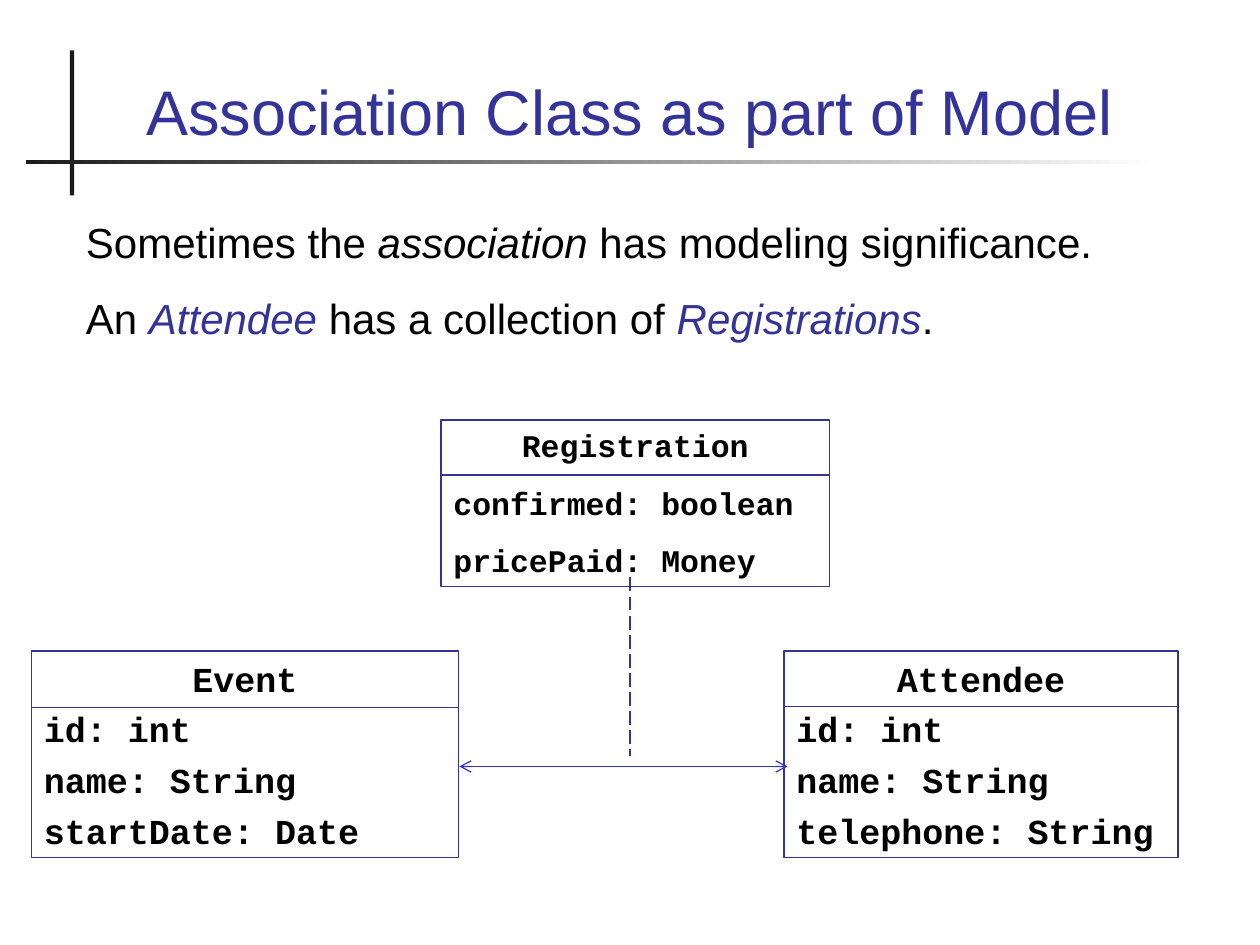
from dataclasses import dataclass
from lxml.etree import SubElement
from pptx import Presentation
from pptx.dml.color import RGBColor
from pptx.enum.dml import MSO_LINE
from pptx.enum.shapes import MSO_CONNECTOR, MSO_SHAPE
from pptx.enum.text import MSO_ANCHOR, PP_ALIGN
from pptx.oxml.ns import qn
from pptx.util import Pt


@dataclass(frozen=True)
class Theme:
    ink: RGBColor = RGBColor(0x00, 0x00, 0x00)
    bar: RGBColor = RGBColor(0x1C, 0x1C, 0x1C)
    paper: RGBColor = RGBColor(0xFF, 0xFF, 0xFF)
    blue: RGBColor = RGBColor(0x33, 0x33, 0x99)
    link: RGBColor = RGBColor(0x33, 0x33, 0xCC)
    sans: str = "Arial"
    mono: str = "Courier New"
    title: int = 36
    body: int = 24
    large: int = 20
    small: int = 18


THEME = Theme()


def apply(target, values):
    for name, value in values.items():
        setattr(target, name, value)


def set_frame(frame, anchor=MSO_ANCHOR.TOP):
    apply(frame, {
        "word_wrap": True, "vertical_anchor": anchor,
        "margin_left": Pt(7.2), "margin_right": Pt(7.2),
        "margin_top": Pt(3.6), "margin_bottom": Pt(3.6),
    })


def add_para(frame, index, runs, form, align=PP_ALIGN.LEFT, gap=0):
    """Write runs of (text, colour, italic) as one paragraph."""
    para = frame.add_paragraph() if index else frame.paragraphs[0]
    para.alignment = align
    if index:
        para.space_before = Pt(gap)
    for text, color, slant in runs:
        run = para.add_run()
        run.text = text
        apply(run.font, {**form, "italic": slant})
        run.font.color.rgb = color


def add_rect(slide, x, y, w, h):
    rect = slide.shapes.add_shape(MSO_SHAPE.RECTANGLE, Pt(x), Pt(y), Pt(w), Pt(h))
    rect.shadow.inherit = False
    return rect


def add_rule(slide, start, end, color=THEME.blue, width=0.75, dash=None, arrows=False):
    rule = slide.shapes.add_connector(
        MSO_CONNECTOR.STRAIGHT, *(Pt(v) for v in (*start, *end)))
    rule.line.color.rgb = color
    apply(rule.line, {"width": Pt(width), "dash_style": dash})
    if arrows:
        for tag in ("a:headEnd", "a:tailEnd"):
            SubElement(rule.line._get_or_add_ln(), qn(tag), type="arrow")
    SubElement(rule._element.spPr, qn("a:effectLst"))


def add_cross(slide):
    """Draw the upright bar and the fading bar beside the title."""
    post = add_rect(slide, 40, 28.8, 2.4, 82.8)
    post.fill.solid()
    post.fill.fore_color.rgb = THEME.bar
    post.line.fill.background()
    beam = add_rect(slide, 15, 91.3, 647.5, 2.4)
    beam.fill.gradient()
    beam.fill.gradient_angle = 0
    for stop, color in zip(beam.fill.gradient_stops, (THEME.bar, THEME.paper)):
        stop.color.rgb = color
    beam.line.fill.background()


def add_text(slide, x, y, w, h, anchor=MSO_ANCHOR.TOP):
    frame = slide.shapes.add_textbox(Pt(x), Pt(y), Pt(w), Pt(h)).text_frame
    set_frame(frame, anchor)
    return frame


def add_class(slide, x, y, w, h, split, names, size, gap, width=1):
    """Draw a class box: a centred name, a rule, then the fields."""
    box = add_rect(slide, x, y, w, h)
    box.fill.background()
    box.line.color.rgb = THEME.blue
    box.line.width = Pt(width)
    set_frame(box.text_frame)
    form = {"name": THEME.mono, "size": Pt(size), "bold": True}
    for index, name in enumerate(names):
        align = PP_ALIGN.LEFT if index else PP_ALIGN.CENTER
        add_para(box.text_frame, index, [(name, THEME.ink, False)], form, align, gap)
    add_rule(slide, (x, y + split), (x + w, y + split))


def main():
    deck = Presentation()
    apply(deck, {"slide_width": Pt(720), "slide_height": Pt(540)})
    slide = deck.slides.add_slide(deck.slide_layouts[6])
    ink, blue = THEME.ink, THEME.blue

    add_cross(slide)
    title = add_text(slide, 48, 20, 623.5, 68, MSO_ANCHOR.BOTTOM)
    add_para(title, 0, [("Association Class as part of Model", blue, False)],
             {"name": THEME.sans, "size": Pt(THEME.title)}, PP_ALIGN.CENTER)

    body = add_text(slide, 42, 120, 636, 80)
    lines = (
        [("Sometimes the ", ink, False), ("association ", ink, True),
         ("has modeling significance.", ink, False)],
        [("An ", ink, False), ("Attendee", blue, True),
         (" has a collection of ", ink, False),
         ("Registrations", blue, True), (".", ink, False)],
    )
    for index, runs in enumerate(lines):
        add_para(body, index, runs,
                 {"name": THEME.sans, "size": Pt(THEME.body)}, gap=15)

    add_class(slide, 18, 372, 244, 118, 32.4,
              ("Event", "id: int", "name: String", "startDate: Date"),
              THEME.large, 5)
    add_class(slide, 448, 372, 225.4, 118, 31.8,
              ("Attendee", "id: int", "name: String", "telephone: String"),
              THEME.large, 5)
    add_class(slide, 252, 240, 222, 95, 31.5,
              ("Registration", "confirmed: boolean", "pricePaid: Money"),
              THEME.small, 11.2, 0.75)
    add_rule(slide, (262.5, 438), (450, 438), THEME.link, arrows=True)
    add_rule(slide, (360, 330), (360, 432), width=1, dash=MSO_LINE.LONG_DASH)
    deck.save("out.pptx")


if __name__ == "__main__":
    main()
